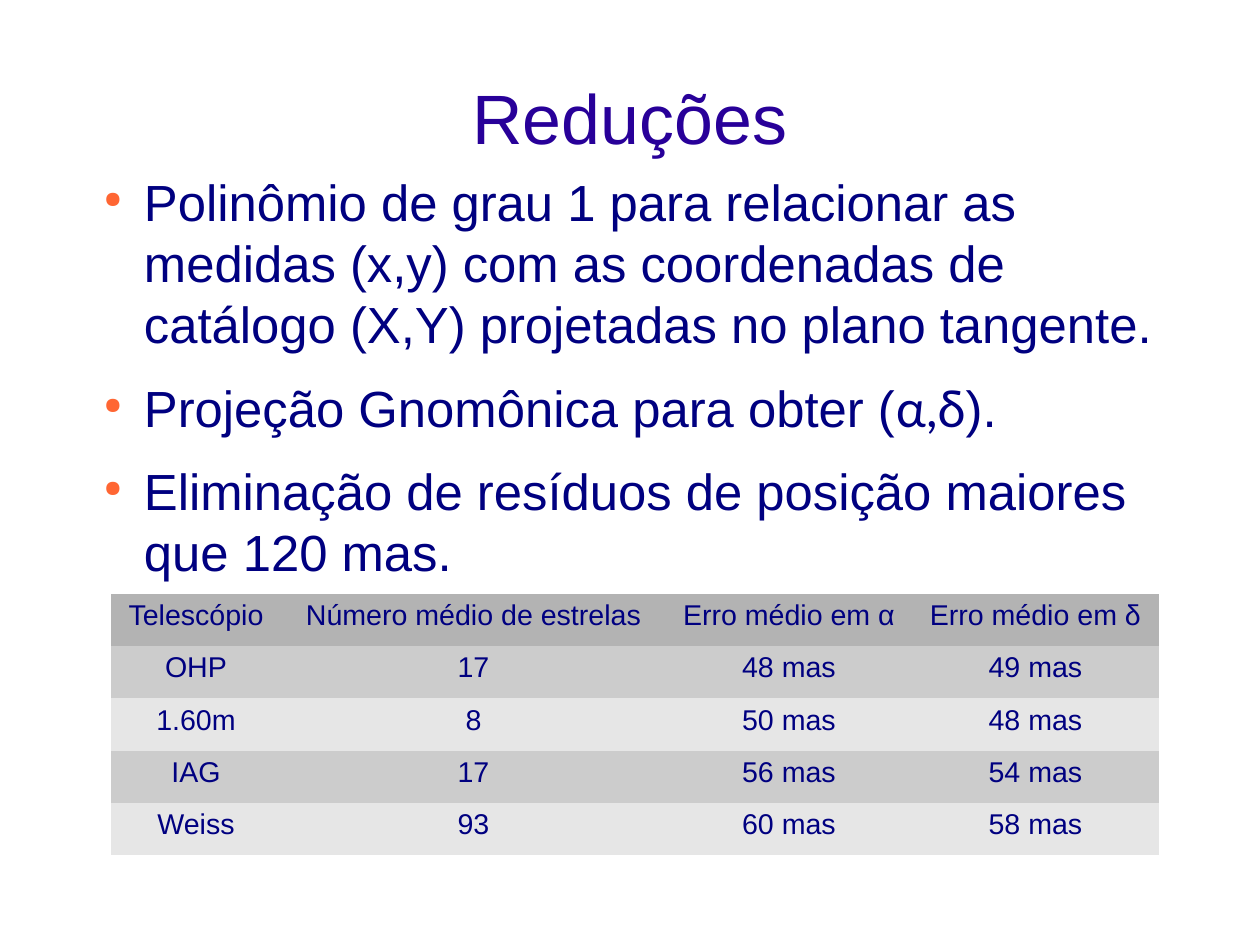
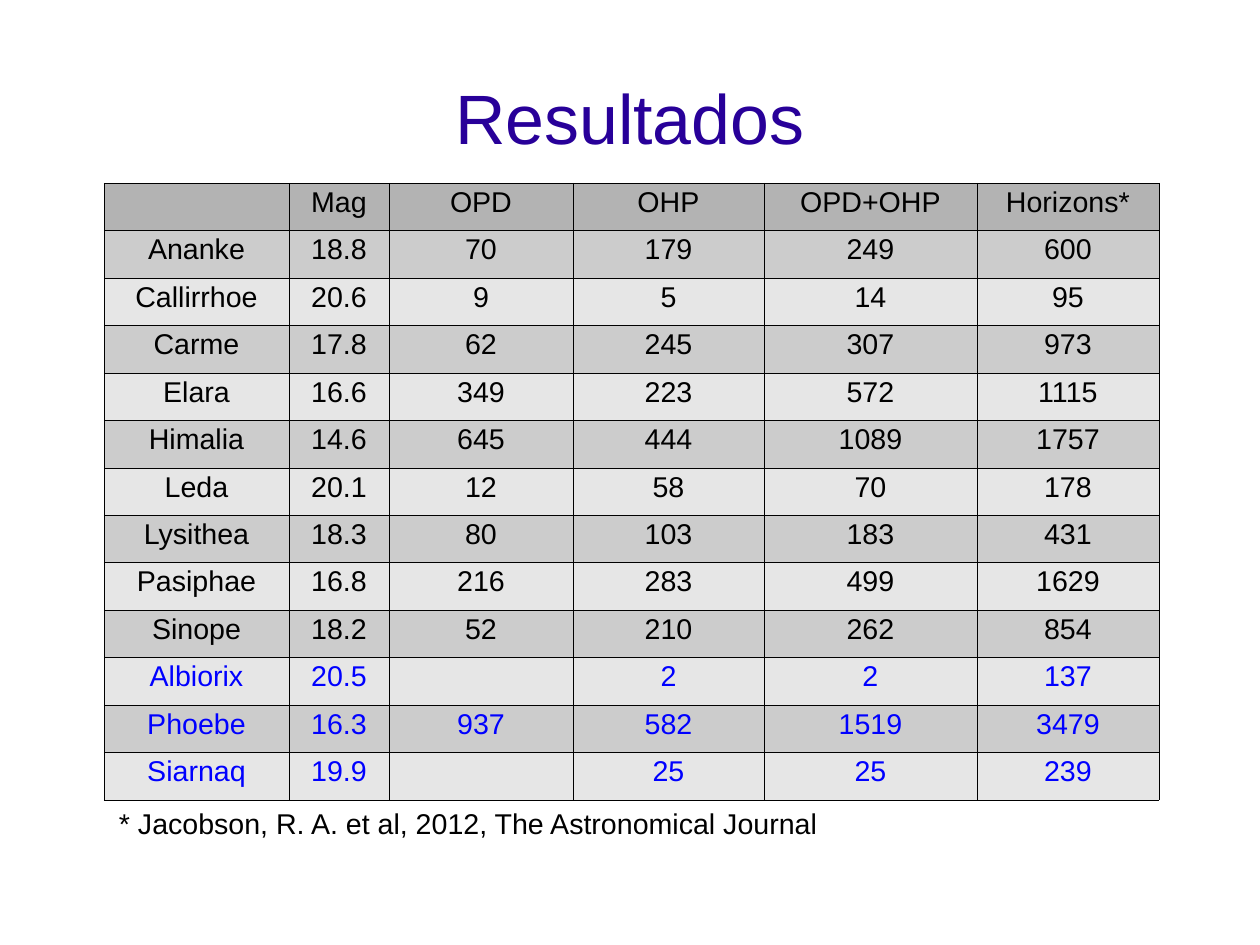
import pptx
import pptx.util
import pptx.dml.color
import pptx.enum.text
import pptx.oxml
import pptx.oxml.ns
import lxml.etree

RGBColor = pptx.dml.color.RGBColor
WHITE = RGBColor(0xFF, 0xFF, 0xFF)
BLACK = RGBColor(0x00, 0x00, 0x00)
PURPLE = RGBColor(0x28, 0x00, 0x99)
NAVY = RGBColor(0x00, 0x00, 0x80)
BLUE = RGBColor(0x00, 0x00, 0xFF)
ORANGE = RGBColor(0xFF, 0x66, 0x33)
HEADER_GREY = RGBColor(0xB3, 0xB3, 0xB3)
BAND_GREYS = (RGBColor(0xCC, 0xCC, 0xCC), RGBColor(0xE6, 0xE6, 0xE6))

FONT = "Arial"
GREEK_FONT = "Lato"
BLANK_LAYOUT = 6
TITLE_BOX = (63, 38, 1134, 158)
CENTER = pptx.enum.text.PP_ALIGN.CENTER

BULLETS = [
    [("Polinômio de grau 1 para relacionar as medidas (x,y) com as coordenadas "
      "de catálogo (X,Y) projetadas no plano tangente.", FONT)],
    [("Projeção Gnomônica para obter (", FONT), ("α,δ", GREEK_FONT), (").", FONT)],
    [("Eliminação de resíduos de posição maiores que 120 mas.", FONT)],
]

TELESCOPES = [
    ("Telescópio", "Número médio de estrelas", "Erro médio em α", "Erro médio em δ"),
    ("OHP", "17", "48 mas", "49 mas"),
    ("1.60m", "8", "50 mas", "48 mas"),
    ("IAG", "17", "56 mas", "54 mas"),
    ("Weiss", "93", "60 mas", "58 mas"),
]

SATELLITES = [
    ("", "Mag", "OPD", "OHP", "OPD+OHP", "Horizons*"),
    ("Ananke", "18.8", "70", "179", "249", "600"),
    ("Callirrhoe", "20.6", "9", "5", "14", "95"),
    ("Carme", "17.8", "62", "245", "307", "973"),
    ("Elara", "16.6", "349", "223", "572", "1115"),
    ("Himalia", "14.6", "645", "444", "1089", "1757"),
    ("Leda", "20.1", "12", "58", "70", "178"),
    ("Lysithea", "18.3", "80", "103", "183", "431"),
    ("Pasiphae", "16.8", "216", "283", "499", "1629"),
    ("Sinope", "18.2", "52", "210", "262", "854"),
    ("Albiorix", "20.5", "", "2", "2", "137"),
    ("Phoebe", "16.3", "937", "582", "1519", "3479"),
    ("Siarnaq", "19.9", "", "25", "25", "239"),
]
SATURN_MOONS = ("Albiorix", "Phoebe", "Siarnaq")


def px(n):
    return pptx.util.Emu(n * 8000)


def style_run(r, size, color, font=FONT):
    r.font.size = pptx.util.Pt(size)
    r.font.name = font
    r.font.color.rgb = color


def add_text_frame(s, box, insets=(0, 0, 0, 0)):
    tf = s.shapes.add_textbox(*map(px, box)).text_frame
    tf.word_wrap = True
    tf.margin_left, tf.margin_top, tf.margin_right, tf.margin_bottom = map(px, insets)
    return tf


def add_titled_slide(prs, title):
    s = prs.slides.add_slide(prs.slide_layouts[BLANK_LAYOUT])
    s.background.fill.solid()
    s.background.fill.fore_color.rgb = WHITE
    tf = add_text_frame(s, TITLE_BOX)
    tf.vertical_anchor = pptx.enum.text.MSO_ANCHOR.MIDDLE
    tf.text = title
    p = tf.paragraphs[0]
    p.alignment = CENTER
    style_run(p.runs[0], 44, PURPLE)
    return s


def set_bullet(p):
    pPr = p._p.get_or_add_pPr()
    pPr.set("marL", str(px(54)))
    pPr.set("indent", str(px(-40)))
    qn = pptx.oxml.ns.qn
    color = lxml.etree.SubElement(pPr, qn("a:buClr"))
    lxml.etree.SubElement(color, qn("a:srgbClr"), val=str(ORANGE))
    lxml.etree.SubElement(pPr, qn("a:buSzPct"), val="45000")
    lxml.etree.SubElement(pPr, qn("a:buChar"), char="●")


def add_bullets(s, box, items):
    tf = add_text_frame(s, box)
    for i, item in enumerate(items):
        p = tf.add_paragraph() if i else tf.paragraphs[0]
        set_bullet(p)
        p.space_after = pptx.util.Pt(14.2)
        for text, font in item:
            r = p.add_run()
            r.text = text
            style_run(r, 32, NAVY, font)


def set_borders(cell, color):
    tcPr = cell._tc.get_or_add_tcPr()
    qn = pptx.oxml.ns.qn
    for side in ("a:lnL", "a:lnR", "a:lnT", "a:lnB"):
        ln = lxml.etree.SubElement(tcPr, qn(side))
        if color is None:
            lxml.etree.SubElement(ln, qn("a:noFill"))
        else:
            ln.set("w", str(pptx.util.Pt(0.06)))
            fill = lxml.etree.SubElement(ln, qn("a:solidFill"))
            lxml.etree.SubElement(fill, qn("a:srgbClr"), val=str(color))


def add_banded_table(s, box, widths, rows, row_color, border=None, spacing=None):
    x, y, w, h = map(px, box)
    table = s.shapes.add_table(len(rows), len(widths), x, y, w, h).table
    table.first_row = table.horz_banding = False
    for column, width in zip(table.columns, widths):
        column.width = px(width)
    for i, values in enumerate(rows):
        table.rows[i].height = h // len(rows)
        for cell, value in zip(table.rows[i].cells, values):
            set_borders(cell, border)
            cell.fill.solid()
            cell.fill.fore_color.rgb = BAND_GREYS[(i - 1) % 2] if i else HEADER_GREY
            cell.text = value
            p = cell.text_frame.paragraphs[0]
            p.alignment = CENTER
            p.line_spacing = spacing
            for r in p.runs:
                style_run(r, 18, row_color(values))


def add_footnote(s, box, text):
    tf = add_text_frame(s, box, (11, 8, 11, 6))
    tf.text = text
    p = tf.paragraphs[0]
    p.line_spacing = 0.93
    style_run(p.runs[0], 18, BLACK)


def build_reductions(prs):
    s = add_titled_slide(prs, "Reduções")
    add_bullets(s, (90, 171, 1106, 529), BULLETS)
    add_banded_table(s, (111, 594, 1048, 261), (170, 385, 246, 247), TELESCOPES,
                     lambda values: NAVY)


def build_results(prs):
    s = add_titled_slide(prs, "Resultados")
    add_banded_table(s, (104, 183, 1055, 617), (185, 100, 184, 191, 213, 182), SATELLITES,
                     lambda values: BLUE if values[0] in SATURN_MOONS else BLACK,
                     border=BLACK, spacing=0.93)
    add_footnote(s, (108, 801, 801, 43),
                 "* Jacobson, R. A. et al, 2012, The Astronomical Journal")


def main():
    prs = pptx.Presentation()
    prs.slide_width, prs.slide_height = px(1260), px(945)
    build_reductions(prs)
    build_results(prs)
    prs.save("out.pptx")


if __name__ == "__main__":
    main()
